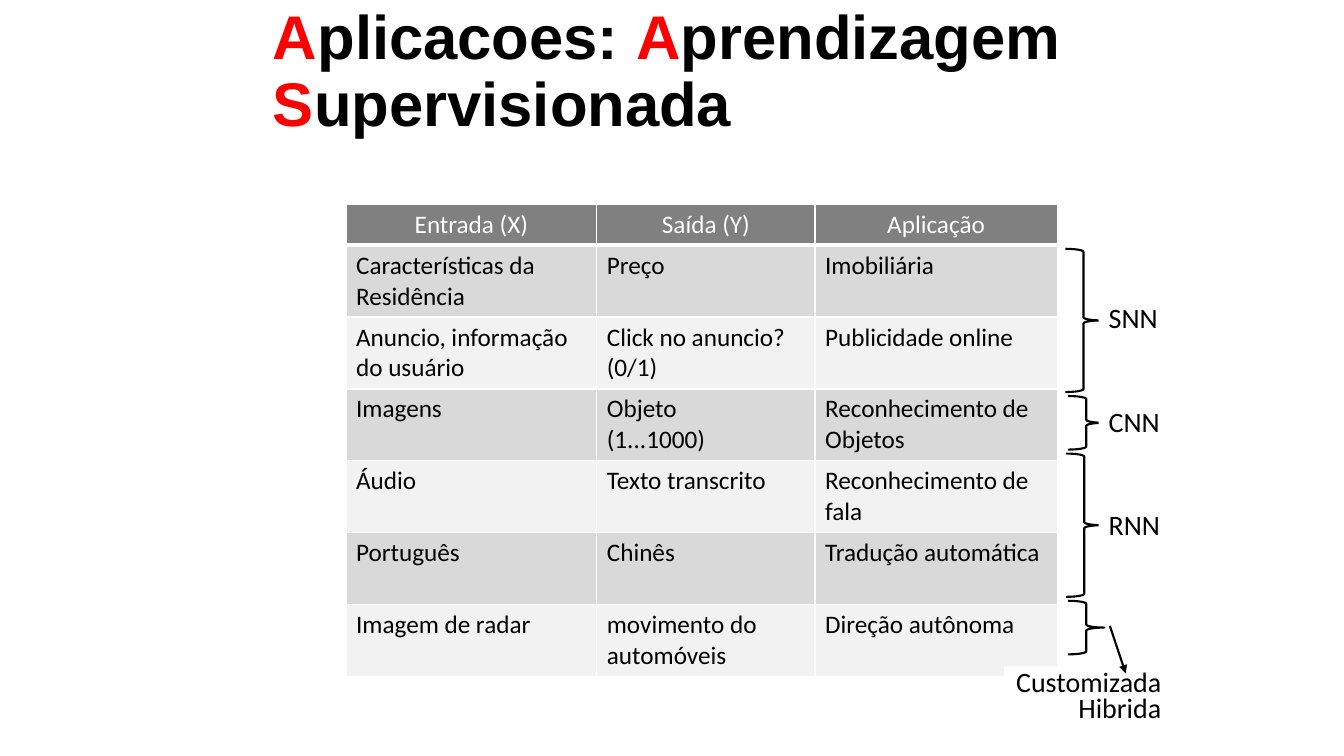
from lxml import etree
from pptx import Presentation
from pptx.dml.color import RGBColor
from pptx.enum.dml import MSO_LINE
from pptx.enum.shapes import MSO_CONNECTOR, MSO_SHAPE
from pptx.enum.text import MSO_ANCHOR, MSO_AUTO_SIZE, PP_ALIGN
from pptx.oxml.ns import qn
from pptx.util import Cm, Pt

BRACE = MSO_SHAPE.RIGHT_BRACE
STRAIGHT = MSO_CONNECTOR.STRAIGHT
SOLID = MSO_LINE.SOLID
MIDDLE = MSO_ANCHOR.MIDDLE
GROW = MSO_AUTO_SIZE.SHAPE_TO_FIT_TEXT
LEFT, CENTER, RIGHT = PP_ALIGN.LEFT, PP_ALIGN.CENTER, PP_ALIGN.RIGHT

BLACK = RGBColor(0x00, 0x00, 0x00)
WHITE = RGBColor(0xFF, 0xFF, 0xFF)
RED = RGBColor(0xFF, 0x00, 0x00)
HEADER_GRAY = RGBColor(0x80, 0x80, 0x80)
DARK_BAND = RGBColor(0xD9, 0xD9, 0xD9)
LIGHT_BAND = RGBColor(0xF2, 0xF2, 0xF2)


def set_font(font, name, size, color, bold=False):
    font.name = name
    font.size = Pt(size)
    font.color.rgb = color
    font.bold = bold


def add_border(cell, side, points):
    properties = cell._tc.get_or_add_tcPr()
    border = etree.SubElement(properties, qn(f"a:ln{side}"), w=str(Pt(points)))
    fill = etree.SubElement(border, qn("a:solidFill"))
    etree.SubElement(fill, qn("a:srgbClr"), val=str(WHITE))


deck = Presentation()
deck.slide_width = Cm(33.87)
deck.slide_height = Cm(19.05)
page = deck.slides.add_slide(deck.slide_layouts[6])

title = page.shapes.add_textbox(Cm(6.63), Cm(0), Cm(27.2), Cm(3.68))
title.text_frame.word_wrap = True
title.text_frame.vertical_anchor = MIDDLE
para = title.text_frame.paragraphs[0]
para.line_spacing = 0.9
set_font(para.font, "Arial", 44, BLACK, True)
for word in ("Aplicacoes: ", "Aprendizagem ", "Supervisionada"):
    for text, color in ((word[0], RED), (word[1:], BLACK)):
        span = para.add_run()
        span.text = text
        set_font(span.font, "Arial", 44, color, True)

rows = [
    ("Entrada (X)", "Saída (Y)", "Aplicação"),
    ("Características da Residência", "Preço", "Imobiliária"),
    ("Anuncio, informação do usuário", "Click no anuncio? (0/1)", "Publicidade online"),
    ("Imagens", "Objeto\n(1...1000)", "Reconhecimento de Objetos"),
    ("Áudio", "Texto transcrito", "Reconhecimento de fala"),
    ("Português", "Chinês", "Tradução automática"),
    ("Imagem de radar", "movimento do automóveis", "Direção autônoma"),
]
table = page.shapes.add_table(
    len(rows), 3, Cm(8.72), Cm(5.14), Cm(17.92), Cm(11.9)
).table
for column, width in zip(table.columns, (6.32, 5.5, 6.1)):
    column.width = Cm(width)
for r, texts in enumerate(rows):
    header = r == 0
    table.rows[r].height = Cm(1.04 if header else 1.81)
    band = HEADER_GRAY if header else DARK_BAND if r % 2 else LIGHT_BAND
    for c, text in enumerate(texts):
        cell = table.cell(r, c)
        for side in "LRTB":
            heavy = (header and side == "B") or (r == 1 and side == "T")
            add_border(cell, side, 3 if heavy else 1)
        cell.fill.solid()
        cell.fill.fore_color.rgb = band
        cell.text = text
        for para in cell.text_frame.paragraphs:
            para.alignment = CENTER if header else LEFT
            set_font(para.font, "Calibri", 18, WHITE if header else BLACK)

braces = [(26.87, 11.43, 3.61), (26.85, 6.27, 3.61), (26.92, 9.98, 1.35), (26.92, 15.14, 1.35)]
for left, top, height in braces:
    brace = page.shapes.add_shape(BRACE, Cm(left), Cm(top), Cm(0.91), Cm(height))
    brace.shadow.inherit = False
    brace.fill.background()
    brace.line.color.rgb = BLACK
    brace.line.width = Pt(1.5)

labels = [
    ("RNN", 27.69, 12.67, 1.83, 1.12, LEFT, None),
    ("CNN", 27.69, 10.06, 1.8, 1.12, LEFT, None),
    ("SNN", 27.69, 7.44, 1.75, 1.12, LEFT, None),
    ("Customizada\nHibrida", 25.3, 16.79, 4.22, 1.63, RIGHT, Pt(19)),
]
for text, left, top, width, height, alignment, spacing in labels:
    box = page.shapes.add_textbox(Cm(left), Cm(top), Cm(width), Cm(height))
    box.fill.solid()
    box.fill.fore_color.rgb = WHITE
    box.text_frame.word_wrap = False
    box.text_frame.auto_size = GROW
    box.text_frame.text = text
    for para in box.text_frame.paragraphs:
        para.alignment = alignment
        para.line_spacing = spacing
        set_font(para.font, "Calibri", 20, BLACK)

arrow = page.shapes.add_connector(STRAIGHT, Cm(27.97), Cm(15.77), Cm(28.37), Cm(16.97))
arrow.line.color.rgb = BLACK
arrow.line.width = Pt(1.5)
arrow.line.dash_style = SOLID
etree.SubElement(arrow.line._get_or_add_ln(), qn("a:tailEnd"), type="triangle")
etree.SubElement(arrow._element.spPr, qn("a:effectLst"))

deck.save("out.pptx")
